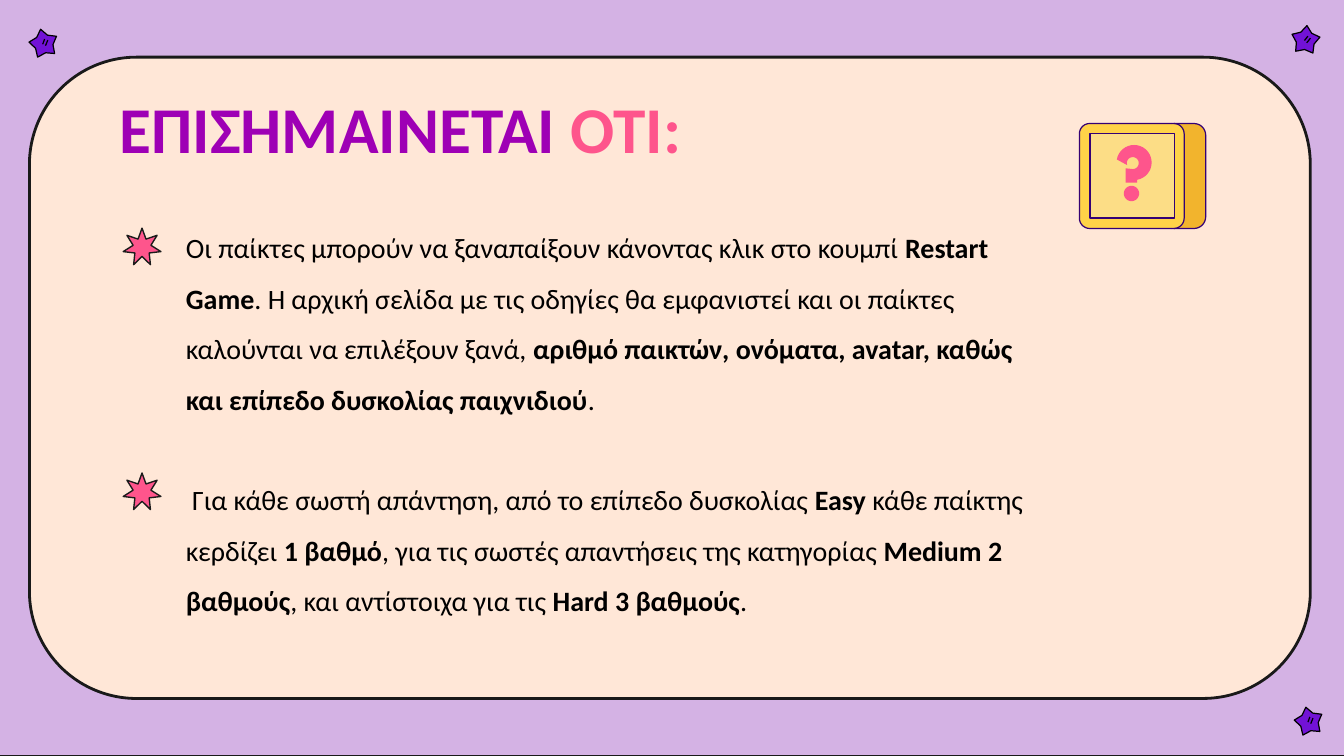
import math

from lxml import etree
from pptx import Presentation
from pptx.dml.color import RGBColor
from pptx.enum import shapes, text
from pptx.oxml.ns import qn
from pptx.util import Pt

SHAPE = shapes.MSO_SHAPE
INK, PURPLE, PINK, INDIGO = "191919", "7212D6", "FE558C", "340175"
TITLE = [("ΕΠΙΣΗΜΑΙΝΕΤΑΙ ", "9E00B5"), ("ΟΤΙ:", PINK)]
RULES = [
    [("Οι παίκτες μπορούν να ξαναπαίξουν κάνοντας κλικ στο κουμπί ", False),
     ("Restart Game", True),
     (". Η αρχική σελίδα με τις οδηγίες θα εμφανιστεί και οι παίκτες "
      "καλούνται να επιλέξουν ξανά, ", False),
     ("αριθμό παικτών, ονόματα, avatar, καθώς και επίπεδο δυσκολίας παιχνιδιού", True),
     (".", False)],
    [(" Για κάθε σωστή απάντηση, από το επίπεδο δυσκολίας ", False),
     ("Easy ", True),
     ("κάθε παίκτης κερδίζει ", False),
     ("1 βαθμό", True),
     (", για τις σωστές απαντήσεις της κατηγορίας ", False),
     ("Medium 2 βαθμούς", True),
     (", και αντίστοιχα για τις ", False),
     ("Hard 3 βαθμούς", True),
     (".", False)],
]


def rgb(value):
    """Turn a hex string into a colour."""
    return RGBColor.from_string(value)


def paint(sp, fill=None, line=None, width=0.75):
    """Give a shape its fill and outline, without a shadow."""
    sp.shadow.inherit = False
    if fill:
        sp.fill.solid()
        sp.fill.fore_color.rgb = rgb(fill)
    else:
        sp.fill.background()
    if line:
        sp.line.color.rgb = rgb(line)
        sp.line.width = Pt(width)
    else:
        sp.line.fill.background()


def add_preset(s, kind, box, fill, line=None, width=0.75, adj=None):
    """Add a painted preset shape."""
    sp = s.shapes.add_shape(kind, *map(Pt, box))
    if adj is not None:
        sp.adjustments[0] = adj
    paint(sp, fill, line, width)


def add_outline(s, contours, fill=None, line=None, width=0.64, close=True):
    """Add a painted freeform made of one or more contours."""
    builder = s.shapes.build_freeform(*map(Pt, contours[0][0]))
    for i, ((x, y), *rest) in enumerate(contours):
        if i:
            builder.move_to(Pt(x), Pt(y))
        builder.add_line_segments([(Pt(px), Pt(py)) for px, py in rest], close=close)
    paint(builder.convert_to_shape(), fill, line, width)


def add_stroke(s, start, end):
    """Add a thin black line."""
    c = s.shapes.add_connector(shapes.MSO_CONNECTOR.STRAIGHT, *map(Pt, (*start, *end)))
    c.line.color.rgb = rgb("000000")
    c.line.width = Pt(0.64)
    etree.SubElement(c._element.spPr, qn("a:effectLst"))


def polar(cx, cy, radius, degrees):
    """Return the point at an angle on a circle."""
    a = math.radians(degrees)
    return cx + radius * math.cos(a), cy + radius * math.sin(a)


def arc(cx, cy, radius, start, end):
    """Return points along an arc, ten degrees apart."""
    step = 10 if end > start else -10
    return [polar(cx, cy, radius, a) for a in range(start, end + step, step)]


def add_small_star(s, cx, cy, turn=0):
    """Add a five-pointed star with two eye strokes, turned about its centre."""
    points = [polar(cx, cy, 5 if i % 2 else 7.9, turn - 102 + 36 * i) for i in range(10)]
    add_outline(s, [points], PURPLE, "000000")
    for eye in (((2.2, -1.9), (1, 1.1)), ((0.5, -2.5), (-0.5, 0.3))):
        ends = [polar(cx, cy, math.hypot(x, y), turn + math.degrees(math.atan2(y, x)))
                for x, y in eye]
        add_stroke(s, *ends)


def add_question_block(s):
    """Add the yellow block with its question mark."""
    top, bottom, seam = 66.2, 122.4, 627.8
    edge = arc(628.9, top + 5.5, 5.5, -90, 0) + arc(628.9, bottom - 5.5, 5.5, 0, 90)
    left = arc(583.8, bottom - 5.5, 5.5, 90, 180) + arc(583.8, top + 5.5, 5.5, 180, 270)
    side = arc(639.7, top + 6.2, 6.2, -90, 0) + arc(639.7, bottom - 6.2, 6.2, 0, 90)
    face = [(583.9, 71.5), (629.3, 71.5), (629.3, 116.9), (583.9, 116.9)]
    for points, fill in ((edge + side[::-1], "F2B42D"), (left + edge, "FFD348"),
                         (face, "FCDD86")):
        add_outline(s, [points], fill)
    add_outline(s, [edge], line=INDIGO, close=False)
    add_outline(s, [[(seam, bottom), *left, (seam, top)]], line=INDIGO, close=False)
    add_outline(s, [face], line=INDIGO)
    add_outline(s, [[(seam, top), *side, (seam, bottom)]], line=INDIGO, close=False)
    stem = [(609.2, 97.9), (603, 97.9), (603, 90.2)]
    hook = arc(607.6, 87.1, 9.4, 190, 440) + stem + arc(606.9, 87.4, 3.2, 100, -200)
    add_outline(s, [hook, arc(606.2, 103.7, 4.1, 0, 350)], PINK)


def set_frame(tf):
    """Give a text frame its margins, wrapping and anchor."""
    tf.word_wrap = True
    tf.auto_size = text.MSO_AUTO_SIZE.NONE
    tf.vertical_anchor = text.MSO_ANCHOR.MIDDLE
    tf.margin_left = tf.margin_right = tf.margin_top = tf.margin_bottom = Pt(7.2)


def add_run(p, words, size, color, bold):
    """Add a formatted run to a paragraph."""
    r = p.add_run()
    r.text = words
    r.font.name = "Calibri"
    r.font.size = Pt(size)
    r.font.bold = bold
    r.font.color.rgb = rgb(color)


def add_title(s):
    """Place the title in front of the panel and write it in two colours."""
    sp = s.shapes.title
    sp._element.getparent().append(sp._element)
    sp.left, sp.top, sp.width, sp.height = map(Pt, (56.9, 45.4, 607, 45.4))
    set_frame(sp.text_frame)
    p = sp.text_frame.paragraphs[0]
    p.alignment = text.PP_ALIGN.LEFT
    for words, color in TITLE:
        add_run(p, words, 35, color, True)


def add_rules(s):
    """Add the rules text with spaced paragraphs."""
    tf = s.shapes.add_textbox(*map(Pt, (92.5, 85.2, 474.5, 275))).text_frame
    set_frame(tf)
    for i, rule in enumerate(RULES):
        p = tf.add_paragraph() if i else tf.paragraphs[0]
        p.line_spacing = 1.5
        if i:
            p.space_before = Pt(27)
        for words, bold in rule:
            add_run(p, words, 15, "000000", bold)


def main():
    """Build the slide and save it."""
    prs = Presentation()
    prs.slide_width, prs.slide_height = Pt(720), Pt(405)
    s = prs.slides.add_slide(prs.slide_layouts[5])
    add_preset(s, SHAPE.RECTANGLE, (-2.2, -1.4, 733, 406), "D4B2E4", INK)
    add_preset(s, SHAPE.ROUNDED_RECTANGLE, (15.8, 30.6, 686.2, 343.6), "FFE7D7", INK, 1.5, 0.167)
    for star in ((23.4, 23.4), (699.4, 21.6, 17.8), (701.2, 386.6)):
        add_small_star(s, *star)
    add_title(s)
    add_rules(s)
    for top in (122.2, 253.4):
        add_preset(s, SHAPE.STAR_7_POINT, (66, top, 20.2, 19.6), PINK, "1B1B1B", adj=0.236)
    add_question_block(s)
    prs.save("out.pptx")


if __name__ == "__main__":
    main()
